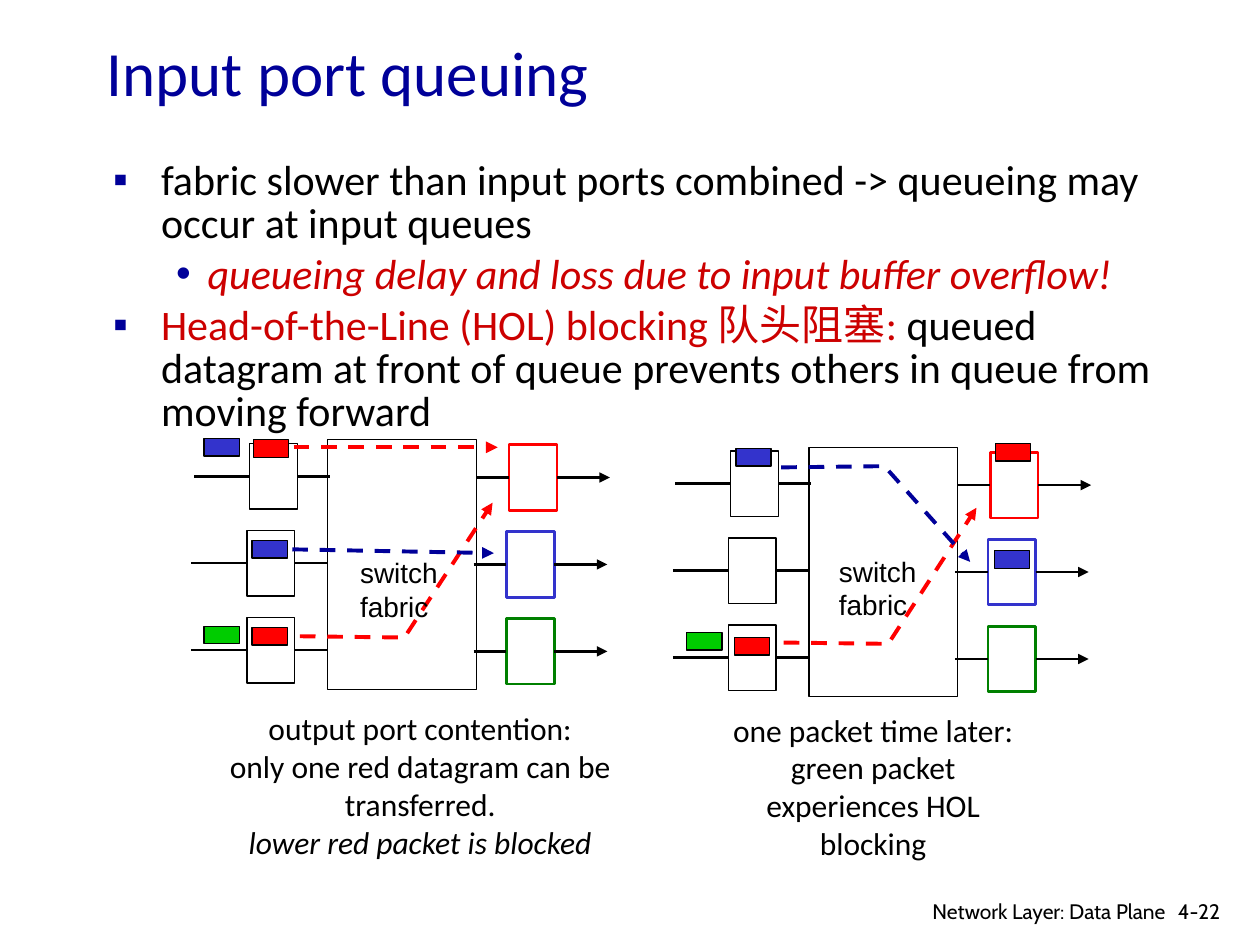
import lxml.etree
import pptx
import pptx.dml.color
import pptx.enum.dml
import pptx.enum.shapes
import pptx.enum.text
import pptx.oxml.ns
import pptx.util

PX = 9144
COLORS = {
    "black": "000000", "white": "FFFFFF", "navy": "000099", "crimson": "CC0000",
    "red": "FF0000", "blue": "3333CC", "green": "00CC00", "dark green": "008000",
}
ALIGN = pptx.enum.text.PP_ALIGN
ANCHOR = pptx.enum.text.MSO_ANCHOR
SHAPE = pptx.enum.shapes.MSO_SHAPE
ROW_STEP = 69
ROWS = [(2, "red"), (0, "blue"), (0, "dark green")]
CONTENTION = {
    "packets": [(49, 0, "red"), (48, 80, "blue"), (48, 149, "red"),
                (10, -1, "blue"), (10, 148, "green")],
    "routes": [("red", [(81, 6), (243, 6)]),
               ("red", [(86, 156), (169, 157), (239, 50)]),
               ("navy", [(80, 87), (240, 90)])],
    "label": (124, 87, 82, 64),
    "caption_box": (-4, 209, 371, 130),
    "caption": [("output port contention:", {}),
                ("only one red datagram can be transferred.", {}),
                ("lower red packet is blocked", {"italic": True})],
}
LATER = {
    "packets": [(256, -3, "red"), (50, 1, "blue"), (49, 151, "red"),
                (11, 147, "green"), (255, 82, "blue")],
    "routes": [("red", [(88, 155), (171, 156), (241, 48)]),
               ("navy", [(86, 16), (168, 15), (236, 91)])],
    "label": (122, 80, 82, 64),
    "caption_box": (37, 204, 244, 130),
    "caption": [("one packet time later: green packet experiences HOL blocking", {})],
}


def rgb(name):
    """Return the named colour."""
    return pptx.dml.color.RGBColor.from_string(COLORS[name])


def apply(target, formats):
    """Set attributes from a dict of format values."""
    for name, value in formats.items():
        setattr(target, name, value)


def emu(box):
    """Turn px lengths into EMU."""
    return [value * PX for value in box]


def shift(box, origin):
    """Move a box or point by the origin of its region."""
    return (box[0] + origin[0], box[1] + origin[1], *box[2:])


def add_span(para, text, font, size, color="black", **formats):
    """Add one formatted run to a paragraph."""
    span = para.add_run()
    span.text = text
    apply(span.font, {"name": font, "size": pptx.util.Pt(size), **formats})
    span.font.color.rgb = rgb(color)


def add_text(page, box, paragraphs, font, size, color="black",
             align=ALIGN.LEFT, wrap=True, anchor=ANCHOR.TOP):
    """Add a text box whose paragraphs are (text, font formats) pairs."""
    frame = page.shapes.add_textbox(*emu(box)).text_frame
    apply(frame, {"word_wrap": wrap, "vertical_anchor": anchor})
    for index, (text, formats) in enumerate(paragraphs):
        para = frame.add_paragraph() if index else frame.paragraphs[0]
        para.alignment = align
        add_span(para, text, font, size, color, **formats)


def add_rectangle(page, box, fill="white", edge="black", weight=0.75):
    """Add a filled rectangle with a coloured edge."""
    shape = page.shapes.add_shape(SHAPE.RECTANGLE, *emu(box))
    shape.shadow.inherit = False
    shape.fill.solid()
    shape.fill.fore_color.rgb = rgb(fill)
    shape.line.color.rgb = rgb(edge)
    shape.line.width = pptx.util.Pt(weight)
    return shape


def style_line(shape, color, weight, dashed=False, arrow=False):
    """Set the stroke of a connector or an open outline."""
    shape.line.color.rgb = rgb(color)
    shape.line.width = pptx.util.Pt(weight)
    if dashed:
        shape.line.dash_style = pptx.enum.dml.MSO_LINE.DASH
    if arrow:
        stroke = shape.line._get_or_add_ln()
        lxml.etree.SubElement(stroke, pptx.oxml.ns.qn("a:tailEnd"), type="triangle")


def add_line(page, start, end, color="black", weight=1.5, **stroke):
    """Add a straight connector without a shadow."""
    kind = pptx.enum.shapes.MSO_CONNECTOR.STRAIGHT
    line = page.shapes.add_connector(kind, *emu((*start, *end)))
    style_line(line, color, weight, **stroke)
    lxml.etree.SubElement(line._element.spPr, pptx.oxml.ns.qn("a:effectLst"))
    return line


def add_route(page, points, color):
    """Add the dashed arrow that a datagram follows through the fabric."""
    stroke = {"color": color, "weight": 2.25, "dashed": True, "arrow": True}
    if len(points) == 2:
        add_line(page, *points, **stroke)
        return
    builder = page.shapes.build_freeform(*points[0], scale=PX)
    builder.add_line_segments(points[1:], close=False)
    route = builder.convert_to_shape()
    route.shadow.inherit = False
    route.fill.background()
    style_line(route, **stroke)


def add_port_row(page, origin, edge):
    """Draw an input port and an output port with the links on their sides."""
    left, top = origin
    in_port = add_rectangle(page, (left + 44, top + 3, 38, 52))
    out_port = add_rectangle(page, (left + 250, top + 4, 38, 52), edge=edge, weight=1.5)
    in_y, out_y = top + 29, top + 30
    add_line(page, (left, in_y), (left + 44, in_y)).end_connect(in_port, 1)
    add_line(page, (left + 82, in_y), (left + 108, in_y)).begin_connect(in_port, 3)
    add_line(page, (left + 224, out_y), (left + 250, out_y)).end_connect(out_port, 1)
    departure = add_line(page, (left + 288, out_y), (left + 330, out_y), arrow=True)
    departure.begin_connect(out_port, 3)


def add_switch(page, origin, scene):
    """Draw one switch with its ports, packets, routes and caption."""
    add_rectangle(page, shift((108, 0, 118, 198), origin))
    for row, (indent, edge) in enumerate(ROWS):
        add_port_row(page, shift((indent, row * ROW_STEP), origin), edge)
    for x, y, color in scene["packets"]:
        add_rectangle(page, shift((x, y, 28, 14), origin), fill=color)
    for color, points in scene["routes"]:
        add_route(page, [shift(point, origin) for point in points], color)
    add_text(page, shift(scene["label"], origin), [("switch", {}), ("fabric", {})],
             "Arial", 16, wrap=False)
    add_text(page, shift(scene["caption_box"], origin), scene["caption"],
             "Calibri", 18, align=ALIGN.CENTER)


def add_bullets(page, box):
    """Write the bulleted points on queueing and blocking."""
    points = [
        ("▪", 38, 38, [("fabric slower than input ports combined -> queueing may "
                        "occur at input queues", "black", False)]),
        ("•", 75, 25, [("queueing delay and loss due to input buffer overflow!",
                        "crimson", True)]),
        ("▪", 38, 38, [("Head-of-the-Line (HOL) blocking 队头阻塞:", "crimson", False),
                       (" queued datagram at front of queue prevents others in "
                        "queue from moving forward", "black", False)]),
    ]
    frame = page.shapes.add_textbox(*emu(box)).text_frame
    frame.word_wrap = True
    for index, (mark, margin, hanging, spans) in enumerate(points):
        para = frame.add_paragraph() if index else frame.paragraphs[0]
        apply(para, {"line_spacing": 0.85, "space_before": pptx.util.Pt(4.8),
                     "level": int(mark == "•")})
        props = para._p.get_or_add_pPr()
        props.set("marL", str(margin * PX))
        props.set("indent", str(-hanging * PX))
        tint = lxml.etree.SubElement(props, pptx.oxml.ns.qn("a:buClr"))
        lxml.etree.SubElement(tint, pptx.oxml.ns.qn("a:srgbClr"), val=COLORS["navy"])
        lxml.etree.SubElement(props, pptx.oxml.ns.qn("a:buFont"), typeface="Arial")
        lxml.etree.SubElement(props, pptx.oxml.ns.qn("a:buChar"), char=mark)
        for text, color, italic in spans:
            add_span(para, text, "Calibri", 24, color, italic=italic)


def add_footer(page, origin):
    """Write the chapter name and the page number."""
    add_text(page, shift((228, 0, 61, 30), origin), [("4-22", {})], "Cabin", 12)
    add_text(page, shift((0, 0, 238, 26), origin), [("Network Layer: Data Plane", {})],
             "Cabin", 12, align=ALIGN.RIGHT)


def main():
    """Build the slide and save it."""
    deck = pptx.Presentation()
    apply(deck, {"slide_width": 1000 * PX, "slide_height": 750 * PX})
    page = deck.slides.add_slide(deck.slide_layouts[6])
    add_text(page, (75, 32, 850, 50), [("Input port queuing", {})],
             "Calibri", 36, "navy", anchor=ANCHOR.MIDDLE)
    add_bullets(page, (80, 123, 886, 290))
    add_switch(page, (152, 349), CONTENTION)
    add_switch(page, (534, 355), LATER)
    add_footer(page, (697, 708))
    deck.save("out.pptx")


if __name__ == "__main__":
    main()
